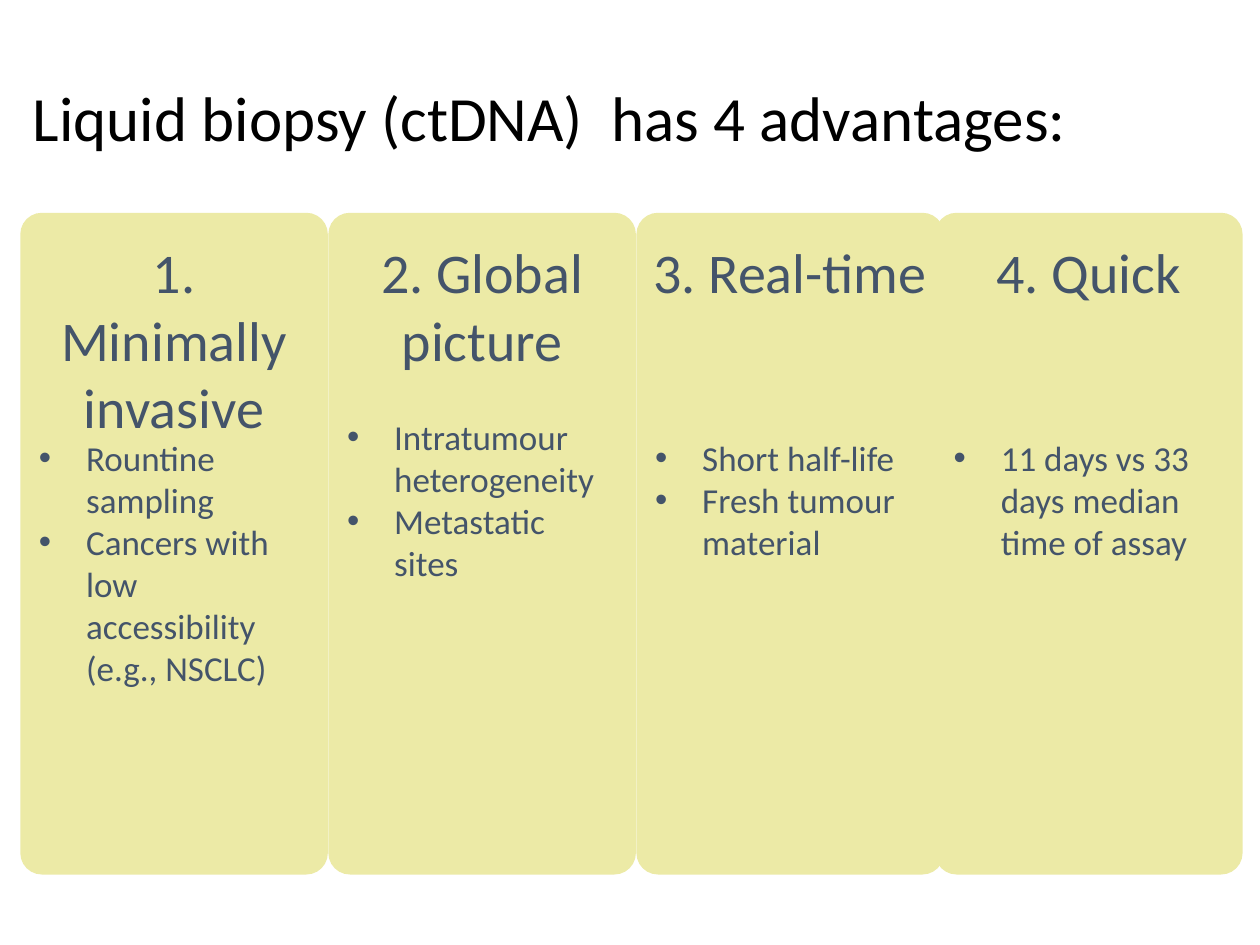
from lxml.etree import SubElement
from pptx import Presentation
from pptx.dml.color import RGBColor
from pptx.enum.shapes import MSO_SHAPE as Shape
from pptx.enum.text import MSO_ANCHOR as Anchor, MSO_AUTO_SIZE as AutoSize, PP_ALIGN as Align
from pptx.oxml.ns import qn
from pptx.util import Cm, Pt

BLACK = RGBColor(0x00, 0x00, 0x00)
SLATE = RGBColor(0x44, 0x54, 0x6A)
CREAM = RGBColor(0xEC, 0xEA, 0xA6)
FONT = "Calibri"

CARD_TOP, CARD_WIDTH, CARD_HEIGHT = 4.29, 6.2, 13.34

# Card left, heading width, heading height, space above bullets (cm), heading, bullets
ADVANTAGES = [
    (0.41, 5.08, 3.76, 4.39, ["1. Minimally", "invasive"],
     ["Rountine sampling", "Cancers with low accessibility (e.g., NSCLC)"]),
    (6.62, 4.88, 3.76, 3.96, ["2. Global", "picture"],
     ["Intratumour heterogeneity", "Metastatic sites"]),
    (12.83, 6.02, 2.39, 4.39, ["3. Real-time"],
     ["Short half-life", "Fresh tumour material"]),
    (18.85, 4.22, 2.39, 4.39, ["4. Quick"],
     ["11 days vs 33 days median time of assay"]),
]


def write_lines(frame, lines, size, color, align):
    frame.word_wrap = True
    frame.text = "\n".join(lines)
    for para in frame.paragraphs:
        para.alignment = align
        for span in para.runs:
            span.font.name = FONT
            span.font.size = Pt(size)
            span.font.color.rgb = color


def add_bullet(para):
    properties = para._p.get_or_add_pPr()
    properties.set("marL", str(Cm(0.95)))
    properties.set("indent", str(-Cm(0.95)))
    SubElement(properties, qn("a:buFont"), typeface="Arial")
    SubElement(properties, qn("a:buChar"), char="•")


def set_title(page, text):
    title = page.shapes.title
    title.left, title.top, title.width, title.height = Cm(0.41), Cm(0.61), Cm(21.89), Cm(4.29 - 0.61)
    frame = title.text_frame
    write_lines(frame, [text], 36, BLACK, Align.LEFT)
    frame.auto_size = AutoSize.NONE
    frame.vertical_anchor = Anchor.MIDDLE
    frame.paragraphs[0].line_spacing = 0.9


def add_card(group, left, space_above, bullets):
    card = group.shapes.add_shape(Shape.ROUNDED_RECTANGLE, Cm(left), Cm(CARD_TOP),
                                  Cm(CARD_WIDTH), Cm(CARD_HEIGHT))
    card.adjustments[0] = 0.07
    card.shadow.inherit = False
    card.fill.solid()
    card.fill.fore_color.rgb = CREAM
    card.line.fill.background()
    frame = card.text_frame
    frame.vertical_anchor = Anchor.TOP
    frame.margin_top = Cm(space_above)
    write_lines(frame, bullets, 20, SLATE, Align.LEFT)
    for para in frame.paragraphs:
        add_bullet(para)


def add_heading(group, card_left, width, height, lines):
    left = card_left + (CARD_WIDTH - width) / 2
    box = group.shapes.add_textbox(Cm(left), Cm(4.67), Cm(width), Cm(height))
    write_lines(box.text_frame, lines, 32, SLATE, Align.CENTER)


def main():
    deck = Presentation()
    deck.slide_width, deck.slide_height = Cm(25.4), Cm(19.05)
    page = deck.slides.add_slide(deck.slide_layouts[5])
    set_title(page, "Liquid biopsy (ctDNA)  has 4 advantages:")

    # One group per advantage: card with bullets, heading on top
    for left, width, height, space_above, heading, bullets in ADVANTAGES:
        group = page.shapes.add_group_shape()
        add_card(group, left, space_above, bullets)
        add_heading(group, left, width, height, heading)

    deck.save("out.pptx")


if __name__ == "__main__":
    main()
